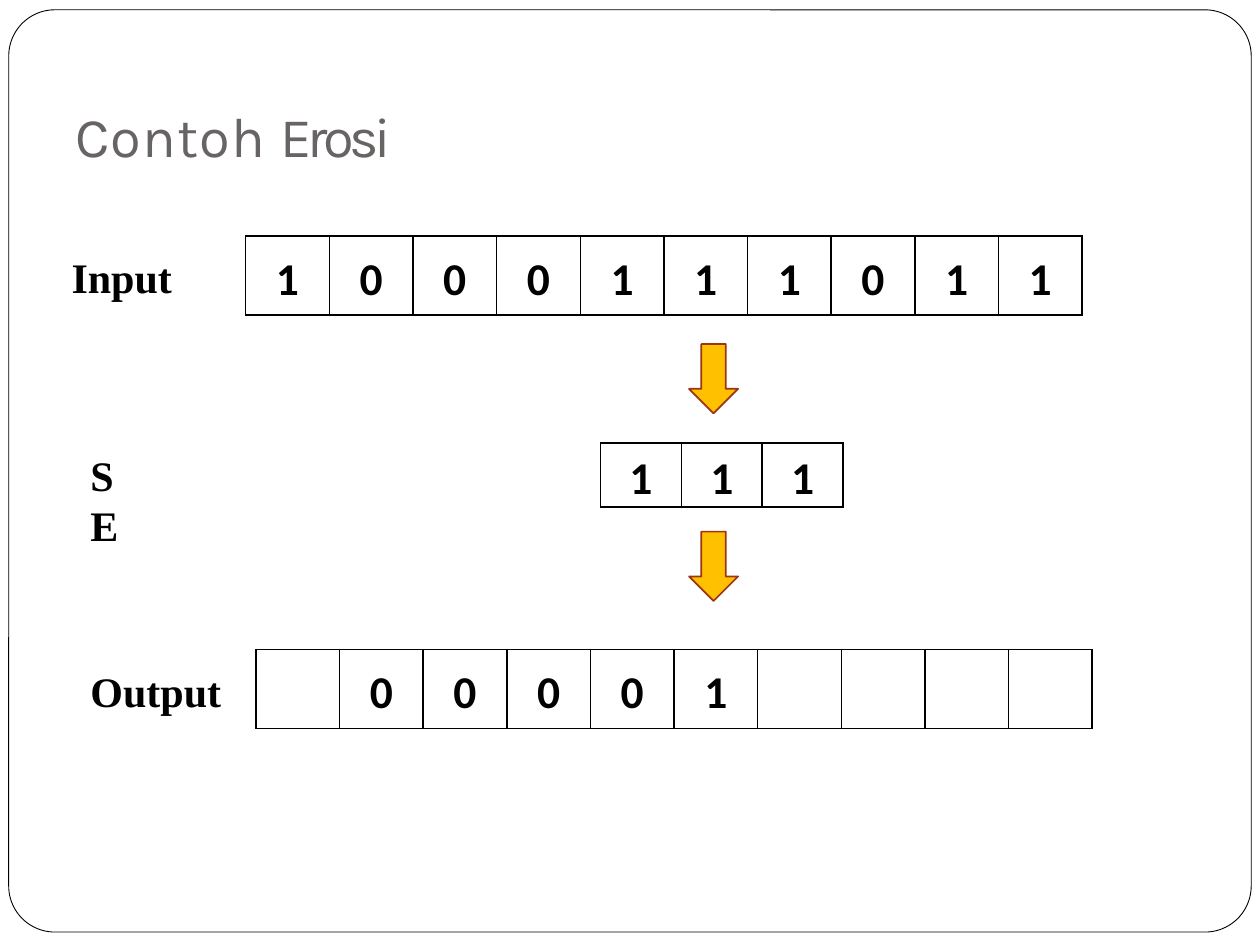
from typing import NamedTuple

from lxml.etree import SubElement
from pptx import Presentation
from pptx.dml.color import RGBColor
from pptx.enum.shapes import MSO_SHAPE
from pptx.enum.text import MSO_ANCHOR, PP_ALIGN
from pptx.oxml.ns import qn
from pptx.util import Pt

COLORS = {
    "paper": "FFFFFF",
    "ink": "000000",
    "title": "696464",
    "arrow": "FFC000",
    "arrow_line": "9C3511",
}


class BitRow(NamedTuple):
    bits: str  # a space stands for an empty cell
    left: float
    top: float
    cell_width: float
    height: float


class Label(NamedTuple):
    text: str
    left: float
    top: float
    width: float
    wrap: bool


BIT_ROWS = [
    BitRow("1000111011", 140.4, 134.8, 47.8, 45.2),
    BitRow("111", 343.2, 253.2, 46.2, 36),
    BitRow(" 00001    ", 146.2, 371.2, 47.8, 45.2),
]
LABELS = [
    Label("Input", 33.8, 140.4, 72.7, False),
    Label("S E", 44.6, 253.4, 43.2, True),
    Label("Output", 44.6, 376.6, 90, False),
]
ARROW_TOPS = [196.6, 303.8]


def color(name: str) -> RGBColor:
    return RGBColor.from_string(COLORS[name])


def add_run(p, text: str, font: str, size: float, ink: str, bold: bool = False):
    r = p.add_run()
    r.text = text
    r.font.name = font
    r.font.size = Pt(size)
    r.font.bold = bold
    r.font.color.rgb = color(ink)
    return r


def add_outlined(s, kind, box: tuple, fill: str, line: str, width: float):
    sp = s.shapes.add_shape(kind, *map(Pt, box))
    sp.shadow.inherit = False
    sp.fill.solid()
    sp.fill.fore_color.rgb = color(fill)
    sp.line.color.rgb = color(line)
    sp.line.width = Pt(width)
    return sp


def set_borders(cell) -> None:
    tcPr = cell._tc.get_or_add_tcPr()
    for side in ("lnL", "lnR", "lnT", "lnB"):
        ln = SubElement(tcPr, qn(f"a:{side}"), w=str(Pt(1)))
        fill = SubElement(ln, qn("a:solidFill"))
        SubElement(fill, qn("a:srgbClr"), val=COLORS["ink"])


def add_bit_row(s, row: BitRow) -> None:
    n = len(row.bits)
    table = s.shapes.add_table(1, n, Pt(row.left), Pt(row.top),
                               Pt(n * row.cell_width), Pt(row.height)).table
    table.first_row = table.horz_banding = False
    for column, cell, bit in zip(table.columns, table.iter_cells(), row.bits):
        column.width = Pt(row.cell_width)
        set_borders(cell)
        cell.fill.background()
        cell.vertical_anchor = MSO_ANCHOR.MIDDLE
        cell.margin_left = cell.margin_right = Pt(5)
        cell.margin_top = cell.margin_bottom = Pt(0)
        if bit != " ":
            p = cell.text_frame.paragraphs[0]
            p.alignment = PP_ALIGN.CENTER
            p.line_spacing = 1.15
            add_run(p, bit, "Calibri", 26, "ink", bold=True)


def add_label(s, label: Label) -> None:
    sp = s.shapes.add_textbox(Pt(label.left), Pt(label.top), Pt(label.width), Pt(36))
    tf = sp.text_frame
    tf.word_wrap = label.wrap
    add_run(tf.paragraphs[0], label.text, "Times New Roman", 24, "ink", bold=True)


def format_title(s) -> None:
    sp = s.shapes.title
    s.shapes._spTree.append(sp._element)  # in front of the frame
    sp.left, sp.top, sp.width, sp.height = Pt(43.2), Pt(56.2), Pt(195), Pt(40.3)
    tf = sp.text_frame
    tf.word_wrap = False
    tf.vertical_anchor = MSO_ANCHOR.BOTTOM
    tf.margin_left = tf.margin_right = tf.margin_bottom = Pt(0)
    tf.margin_top = Pt(1)
    p = tf.paragraphs[0]
    p.alignment = PP_ALIGN.LEFT
    for text, spacing in (("Contoh ", 60), ("Erosi", -250)):
        r = add_run(p, text, "Karla", 32, "title")
        r._r.get_or_add_rPr().set("spc", str(spacing))


def main() -> None:
    prs = Presentation()
    prs.slide_width, prs.slide_height = Pt(720), Pt(540)
    s = prs.slides.add_slide(prs.slide_layouts[5])
    frame = add_outlined(s, MSO_SHAPE.ROUNDED_RECTANGLE, (5, 5.6, 710, 527),
                         "paper", "ink", 0.5)
    frame.adjustments[0] = 0.05
    format_title(s)
    for row in BIT_ROWS:
        add_bit_row(s, row)
    for top in ARROW_TOPS:
        add_outlined(s, MSO_SHAPE.DOWN_ARROW, (393.8, top, 28, 39.6),
                     "arrow", "arrow_line", 1)
    for label in LABELS:
        add_label(s, label)
    prs.save("out.pptx")


if __name__ == "__main__":
    main()
